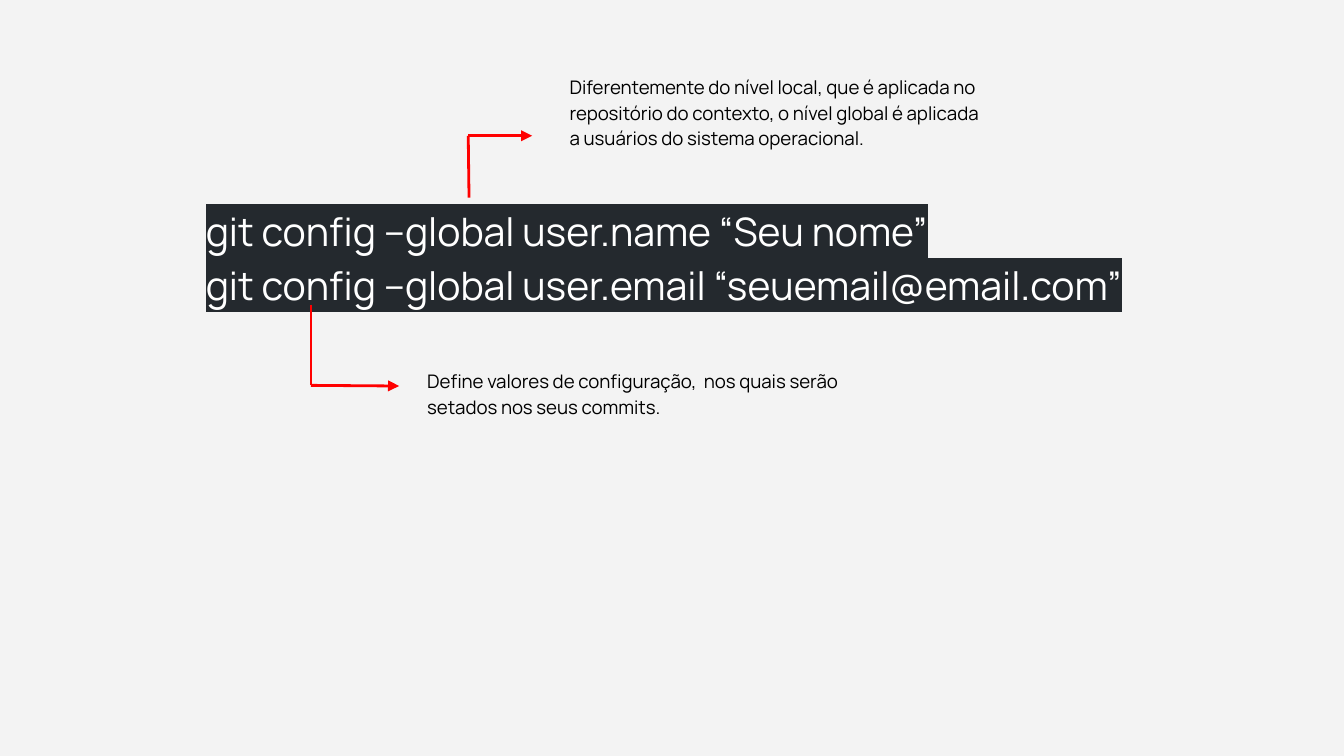
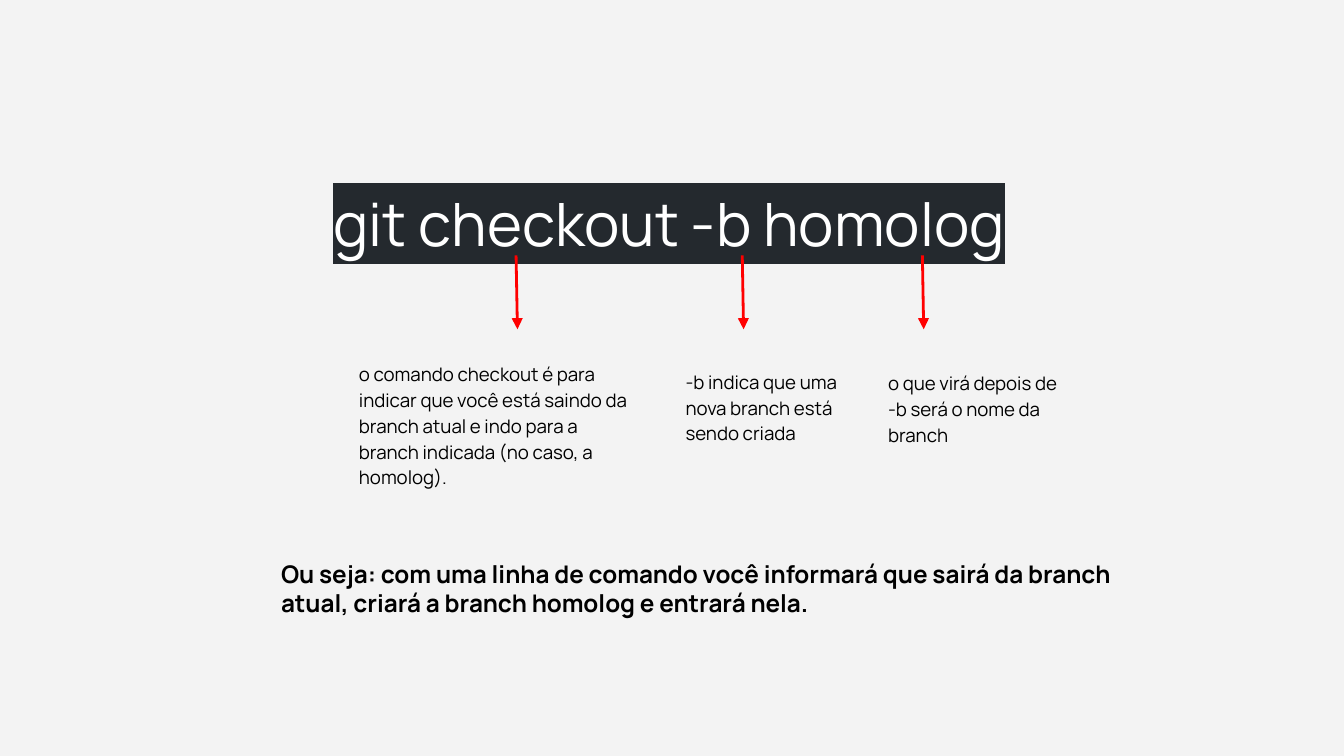
import pptx
import pptx.util
import pptx.dml.color
import pptx.enum.shapes
import pptx.enum.text
import pptx.oxml.ns
import lxml.etree


def colour(code):
    return pptx.dml.color.RGBColor.from_string(code)


def add_element(parent, tag, **attributes):
    return lxml.etree.SubElement(parent, pptx.oxml.ns.qn(tag), attributes)


BACKGROUND = "F3F3F3"
COMMAND_BAND = "24292E"
ARROW = "FF0000"
FONT = "Manrope"

note_style = {"size": 10, "bold": False, "colour": "000000", "spacing": 1.15, "band": None}
summary_style = {**note_style, "size": 13, "bold": True, "spacing": 1.0}
config_style = {**note_style, "size": 21, "colour": "FFFFFF", "band": COMMAND_BAND}
checkout_style = {**config_style, "size": 32}

deck = pptx.Presentation()
deck.slide_width = pptx.util.Inches(10)
deck.slide_height = deck.slide_width * 9 // 16
column = deck.slide_width / 100
row = deck.slide_height / 100

pages = [
    {
        "texts": [
            (14.33, 24.66, 76, 31.64, config_style, [
                "git config --global user.name “Seu nome”",
                "git config --global user.email “seuemail@email.com”",
            ]),
            (41.4, 7.8, 32.8, 18.13, note_style, [
                "Diferentemente do nível local, que é aplicada no repositório do contexto, "
                "o nível global é aplicada a usuários do sistema operacional.",
            ]),
            (30.8, 46.76, 32.8, 16, note_style, [
                "Define valores de configuração,  nos quais serão setados nos seus commits.",
            ]),
        ],
        "lines": [
            (34.9, 26.13, 34.84, 17.96, False),
            (34.84, 17.96, 39.6, 17.96, True),
            (23.14, 40.3, 23.14, 50.98, False),
            (23.14, 50.98, 29.7, 51.06, True),
        ],
    },
    {
        "texts": [
            (23.83, 21.51, 63, 11.02, checkout_style, ["git checkout -b homolog"]),
            (50.03, 46.8, 15.1, 12.27, note_style, [
                "-b indica que uma nova branch está sendo criada",
            ]),
            (65.1, 46.97, 15.6, 11.02, note_style, [
                "o que virá depois de -b será o nome da branch",
            ]),
            (25.73, 45.82, 22.4, 13.16, note_style, [
                "o comando checkout é para indicar que você está saindo da branch atual "
                "e indo para a branch indicada (no caso, a homolog).",
            ]),
            (19.93, 72.14, 65.7, 14.04, summary_style, [
                "Ou seja: com uma linha de comando você informará que sairá da branch "
                "atual, criará a branch homolog e entrará nela.",
            ]),
        ],
        "lines": [(x, 33.78, x + 0.1, 43.56, True) for x in (38.4, 55.23, 68.63)],
    },
]

frame_format = {
    "word_wrap": True,
    "auto_size": pptx.enum.text.MSO_AUTO_SIZE.NONE,
    "vertical_anchor": pptx.enum.text.MSO_ANCHOR.TOP,
    **{f"margin_{side}": pptx.util.Inches(0.1) for side in ("left", "top", "right", "bottom")},
}

for content in pages:
    page = deck.slides.add_slide(deck.slide_layouts[6])
    page.background.fill.solid()
    page.background.fill.fore_color.rgb = colour(BACKGROUND)

    for left, top, width, height, style, wording in content["texts"]:
        box = page.shapes.add_textbox(
            round(left * column), round(top * row), round(width * column), round(height * row)
        )
        frame = box.text_frame
        for name, value in frame_format.items():
            setattr(frame, name, value)
        frame.text = "\n".join(wording)
        span_format = {"name": FONT, "size": pptx.util.Pt(style["size"]), "bold": style["bold"]}
        for para in frame.paragraphs:
            para.line_spacing = style["spacing"]
            span = para.runs[0]
            for name, value in span_format.items():
                setattr(span.font, name, value)
            span.font.color.rgb = colour(style["colour"])
            if style["band"]:
                properties = span._r.get_or_add_rPr()
                highlight = add_element(properties, "a:highlight")
                add_element(highlight, "a:srgbClr", val=style["band"])
                properties.find(pptx.oxml.ns.qn("a:solidFill")).addnext(highlight)

    for start_x, start_y, end_x, end_y, has_head in content["lines"]:
        line = page.shapes.add_connector(
            pptx.enum.shapes.MSO_CONNECTOR.STRAIGHT,
            round(start_x * column), round(start_y * row),
            round(end_x * column), round(end_y * row),
        )
        line.line.color.rgb = colour(ARROW)
        line.line.width = pptx.util.Pt(1.5)
        if has_head:
            add_element(line.line._get_or_add_ln(), "a:tailEnd", type="triangle")
        add_element(line._element.spPr, "a:effectLst")

deck.save("out.pptx")
